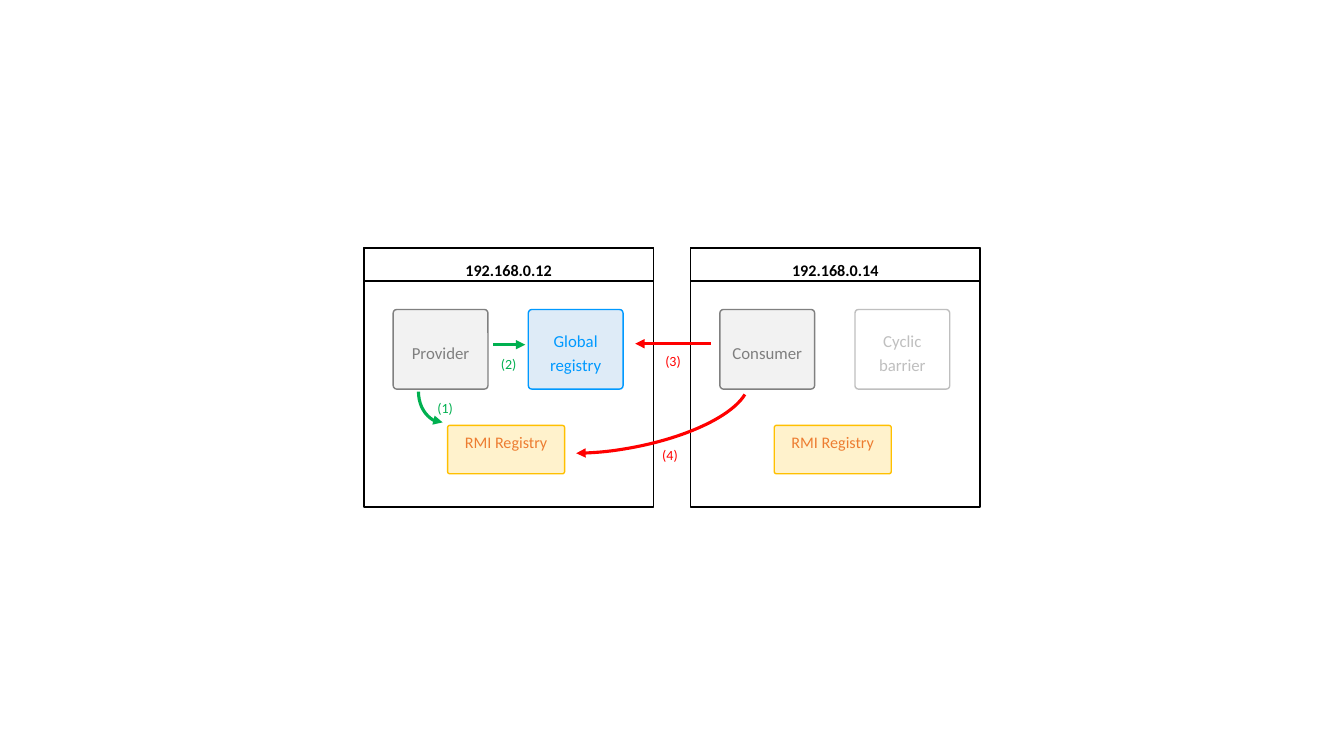
from dataclasses import dataclass
from pptx import Presentation
from pptx.dml.color import RGBColor
from pptx.enum.shapes import MSO_CONNECTOR, MSO_SHAPE
from pptx.enum.text import MSO_ANCHOR, PP_ALIGN
from pptx.oxml.ns import qn
from pptx.util import Inches, Pt
from lxml.etree import SubElement


@dataclass(frozen=True)
class Theme:
    font: str = "Calibri"
    black: str = "000000"
    green: str = "00B050"
    red: str = "FF0000"
    # Styles of the boxes: fill, line, text
    gray: tuple = ("F2F2F2", "808080", "7F7F7F")
    blue: tuple = ("DEEBF7", "0099FF", "0099FF")
    gold: tuple = ("FFF2CC", "FFC000", "ED7D31")
    pale: tuple = (None, "BFBFBF", "BFBFBF")
    head: float = 11.5
    body: float = 12
    note: float = 10
    thin: float = 1
    thick: float = 2.25


T = Theme()


def color(code):
    return RGBColor.from_string(code)


def write(shape, text, size, ink, top=0, side=0.1, bold=False,
          anchor=MSO_ANCHOR.MIDDLE):
    frame = shape.text_frame
    frame.word_wrap = True
    frame.vertical_anchor = anchor
    frame.margin_left = frame.margin_right = Inches(side)
    frame.margin_top, frame.margin_bottom = Inches(top), 0
    para = frame.paragraphs[0]
    para.text = text
    para.alignment = PP_ALIGN.CENTER
    para.line_spacing = 1.15
    para.space_after = Pt(8)
    font = para.font
    font.name, font.size, font.bold = T.font, Pt(size), bold
    font.color.rgb = color(ink)


def draw(slide, kind, box, fill, ink, width=T.thin):
    shape = slide.shapes.add_shape(kind, *map(Inches, box))
    shape.shadow.inherit = False
    if fill:
        shape.fill.solid()
        shape.fill.fore_color.rgb = color(fill)
    else:
        shape.fill.background()
    shape.line.color.rgb = color(ink)
    shape.line.width = Pt(width)
    return shape


def card(slide, box, text, style, size=T.body, top=0.04,
         anchor=MSO_ANCHOR.MIDDLE):
    fill, edge, ink = style
    shape = draw(slide, MSO_SHAPE.ROUNDED_RECTANGLE, box, fill, edge)
    shape.adjustments[0] = 0.045
    write(shape, text, size, ink, top, anchor=anchor)


def host(slide, box, name, left, right):
    x, y, w, h = box
    # Frame and title bar
    draw(slide, MSO_SHAPE.RECTANGLE, box, None, T.black)
    bar = draw(slide, MSO_SHAPE.RECTANGLE, (x, y, w, 0.33), None, T.black)
    write(bar, name, T.head, T.black, top=0.08, bold=True)
    # Two processes above the local registry
    for dx, (text, style) in zip((0.29, 1.63), (left, right)):
        card(slide, (x + dx, y + 0.61, 0.94, 0.79), text, style)
    card(slide, (x + 0.83, y + 1.76, 1.16, 0.48), "RMI Registry", T.gold,
         T.head, 0.03, MSO_ANCHOR.TOP)


def tip(shape, end):
    SubElement(shape.line._get_or_add_ln(), qn(f"a:{end}End"), type="triangle")


def arrow(slide, start, stop, y, ink):
    line = slide.shapes.add_connector(
        MSO_CONNECTOR.STRAIGHT, *map(Inches, (start, y, stop, y)))
    line.line.color.rgb = color(ink)
    line.line.width = Pt(T.thick)
    tip(line, "tail")
    SubElement(line._element.spPr, qn("a:effectLst"))


def curve(slide, box, turn, ink, end, angles=()):
    arc = draw(slide, MSO_SHAPE.ARC, box, None, ink, T.thick)
    arc.rotation = turn
    for i, angle in enumerate(angles):
        arc.adjustments[i] = angle
    tip(arc, end)


def label(slide, box, text, ink):
    note = slide.shapes.add_textbox(*map(Inches, box))
    write(note, text, T.note, ink, side=0)


def steps(slide, box):
    x, y = box[:2]
    # Provider registers its service
    curve(slide, (x + 0.54, y + 1.12, 0.48, 0.61), 180, T.green, "head")
    arrow(slide, x + 1.28, x + 1.6, y + 0.96, T.green)
    # Consumer looks the service up
    curve(slide, (x + 2.11, y + 0.27, 0.91, 2.53), 79.7, T.red, "tail",
          (165.87, 31.72))
    arrow(slide, x + 3.44, x + 2.69, y + 0.95, T.red)
    # Step numbers
    for text, dx, dy, w, ink in (
            ("(1)", 0.4, 1.46, 0.81, T.green),
            ("(2)", 1.28, 1.03, 0.31, T.green),
            ("(3)", 2.91, 1, 0.31, T.red),
            ("(4)", 2.63, 1.93, 0.81, T.red)):
        label(slide, (x + dx, y + dy, w, 0.22), text, ink)


def main():
    deck = Presentation()
    deck.slide_width, deck.slide_height = Inches(13.33), Inches(7.5)
    slide = deck.slides.add_slide(deck.slide_layouts[6])
    x, y, w, h = 3.61, 2.46, 2.87, 2.57
    step = 3.24
    hosts = (
        ("192.168.0.12", ("Provider", T.gray), ("Global registry", T.blue)),
        ("192.168.0.14", ("Consumer", T.gray), ("Cyclic barrier", T.pale)))
    for i, parts in enumerate(hosts):
        host(slide, (x + i * step, y, w, h), *parts)
    steps(slide, (x, y, step + w, h))
    deck.save("out.pptx")


if __name__ == "__main__":
    main()
